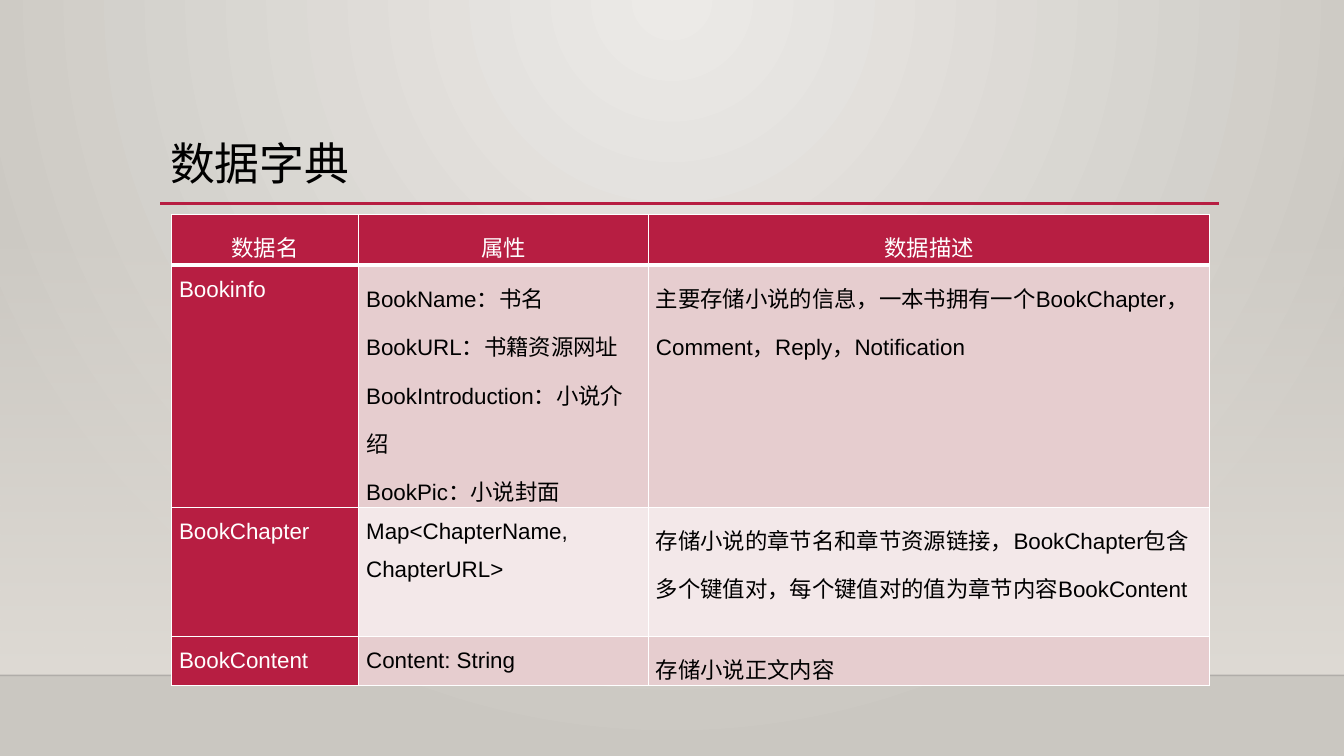
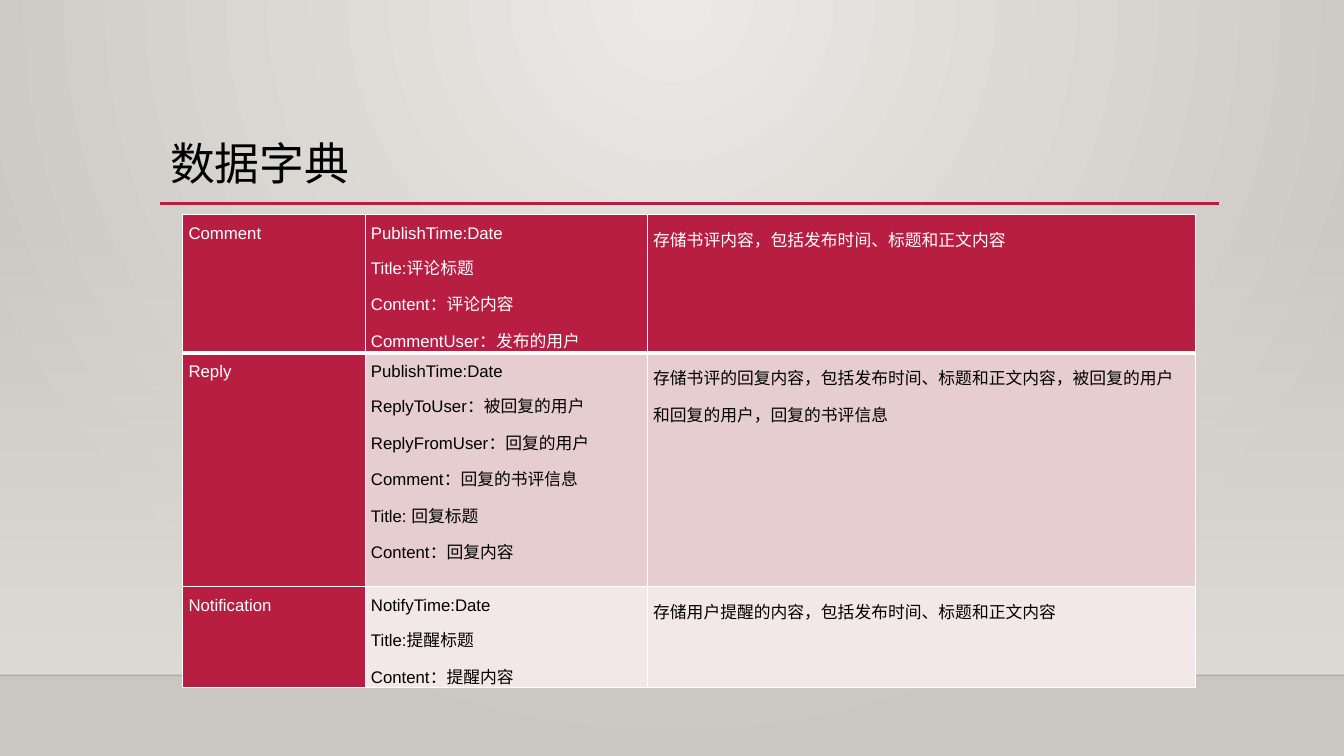
from dataclasses import dataclass

from lxml import etree
from pptx import Presentation
from pptx import util as u
from pptx.dml.color import RGBColor
from pptx.enum import shapes, text
from pptx.oxml import ns

Pt = u.Pt
RED = RGBColor(0xB7, 0x1E, 0x42)
ROSE = RGBColor(0xE6, 0xCD, 0xCF)
BLUSH = RGBColor(0xF3, 0xE8, 0xE9)
WHITE = RGBColor(0xFF, 0xFF, 0xFF)
BLACK = RGBColor(0, 0, 0)
INK = RGBColor(0, 0, 1)
PALE = RGBColor(0xEC, 0xEA, 0xE7)
STONE = RGBColor(0xCA, 0xC7, 0xC1)
SAND = RGBColor(0xDF, 0xDB, 0xD5)
WIDE, HIGH = 960, 540
FLOOR = 482.4


@dataclass
class Rule:
    left: float
    right: float
    top: float
    color: RGBColor
    width: float
    alpha: int = 100


@dataclass
class Grid:
    left: float
    top: float
    cols: list[float]
    rows: list[float]
    inset: float
    size: int
    cells: list[list[str]]
    center: bool = False


RULES = [
    Rule(0, WIDE, FLOOR, INK, 1, 20),
    Rule(114.3, 870.9, 145.3, RED, 2.5),
]

GRIDS = [
    Grid(122.5, 153.5, [133.7, 207, 400.9], [36, 172.8, 92.2, 35.3], 5.4, 16, [
        ["数据名", "属性", "数据描述"],
        ["Bookinfo",
         "BookName：书名\nBookURL：书籍资源网址\n"
         "BookIntroduction：小说介绍\nBookPic：小说封面",
         "主要存储小说的信息，一本书拥有一个BookChapter，Comment，Reply，Notification"],
        ["BookChapter", "Map<ChapterName, ChapterURL>",
         "存储小说的章节名和章节资源链接，BookChapter包含多个键值对，"
         "每个键值对的值为章节内容BookContent"],
        ["BookContent", "Content: String", "存储小说正文内容"],
    ], True),
    Grid(130.6, 153.2, [130.3, 201.6, 391.6], [98.8, 167, 72], 4.1, 12, [
        ["Comment",
         "PublishTime:Date\nTitle:评论标题\nContent：评论内容\nCommentUser：发布的用户",
         "存储书评内容，包括发布时间、标题和正文内容"],
        ["Reply",
         "PublishTime:Date\nReplyToUser：被回复的用户\nReplyFromUser：回复的用户\n"
         "Comment：回复的书评信息\nTitle: 回复标题\nContent：回复内容",
         "存储书评的回复内容，包括发布时间、标题和正文内容，"
         "被回复的用户和回复的用户，回复的书评信息"],
        ["Notification", "NotifyTime:Date\nTitle:提醒标题\nContent：提醒内容",
         "存储用户提醒的内容，包括发布时间、标题和正文内容"],
    ]),
]


def add(node, tag: str, **attrs):
    return etree.SubElement(node, ns.qn(tag), **attrs)


def fade(node, alpha: int) -> None:
    add(next(node.iter(ns.qn("a:srgbClr"))), "a:alpha", val=str(alpha * 1000))


def blend(fill, first: RGBColor, last: RGBColor) -> None:
    fill.gradient()
    for stop, color, place in zip(fill.gradient_stops, (first, last), (0, 1)):
        stop.color.rgb = color
        stop.position = place


def paint(master) -> None:
    blend(master.background.fill, PALE, STONE)
    grad = next(master.element.iter(ns.qn("a:gradFill")))
    grad.remove(grad.find(ns.qn("a:lin")))
    ring = add(grad, "a:path", path="circle")
    add(ring, "a:fillToRect", l="43000", t="0", r="43000", b="100000")


def draw_wall(slide) -> None:
    wall = slide.shapes.add_shape(
        shapes.MSO_SHAPE.RECTANGLE, 0, Pt(159.1), Pt(WIDE), Pt(FLOOR - 159.1))
    wall.shadow.inherit = False
    wall.line.fill.background()
    blend(wall.fill, SAND, SAND)
    wall.fill.gradient_angle = 270
    fade(wall.element.spPr, 0)


def draw_rule(slide, rule: Rule) -> None:
    line = slide.shapes.add_connector(
        shapes.MSO_CONNECTOR.STRAIGHT,
        Pt(rule.left), Pt(rule.top), Pt(rule.right), Pt(rule.top))
    line.line.color.rgb = rule.color
    line.line.width = Pt(rule.width)
    if rule.alpha < 100:
        fade(line.element.spPr, rule.alpha)
    add(line.element.spPr, "a:effectLst")


def draw_title(slide, words: str) -> None:
    box = slide.shapes.add_textbox(Pt(114.5), Pt(63.4), Pt(756), Pt(76))
    frame = box.text_frame
    frame.word_wrap = True
    frame.vertical_anchor = text.MSO_ANCHOR.BOTTOM
    frame.text = words
    para = frame.paragraphs[0]
    para.line_spacing = 0.9
    style(para, "Cabin", 32, BLACK)


def style(para, name: str, size: int, color: RGBColor) -> None:
    for run in para.runs:
        run.font.name = name
        run.font.size = Pt(size)
        run.font.color.rgb = color


def edge(cell, row: int) -> None:
    widths = {"L": 1, "R": 1, "T": 3 if row == 1 else 1, "B": 3 if row == 0 else 1}
    props = cell._tc.get_or_add_tcPr()
    for side, width in widths.items():
        line = add(props, f"a:ln{side}", w=str(Pt(width)))
        add(add(line, "a:solidFill"), "a:srgbClr", val=str(WHITE))


def draw_grid(slide, grid: Grid) -> None:
    table = slide.shapes.add_table(
        len(grid.rows), len(grid.cols), Pt(grid.left), Pt(grid.top),
        Pt(sum(grid.cols)), Pt(sum(grid.rows))).table
    table.first_row = table.horz_banding = False
    for col, width in zip(table.columns, grid.cols):
        col.width = Pt(width)
    for row, height in zip(table.rows, grid.rows):
        row.height = Pt(height)
    for r, words in enumerate(grid.cells):
        for c, word in enumerate(words):
            cell = table.cell(r, c)
            head = r == 0 or c == 0
            edge(cell, r)
            cell.fill.solid()
            cell.fill.fore_color.rgb = RED if head else ROSE if r % 2 else BLUSH
            cell.margin_left = cell.margin_right = Pt(grid.inset)
            cell.margin_top = cell.margin_bottom = 0
            cell.text_frame.text = word
            for para in cell.text_frame.paragraphs:
                para.line_spacing = 1.5
                if grid.center and r == 0:
                    para.alignment = text.PP_ALIGN.CENTER
                style(para, "Arial", grid.size, WHITE if head else BLACK)


def main() -> None:
    deck = Presentation()
    deck.slide_width, deck.slide_height = Pt(WIDE), Pt(HIGH)
    paint(deck.slide_master)
    for grid in GRIDS:
        slide = deck.slides.add_slide(deck.slide_layouts[6])
        draw_wall(slide)
        for rule in RULES:
            draw_rule(slide, rule)
        draw_title(slide, "数据字典")
        draw_grid(slide, grid)
    deck.save("out.pptx")


if __name__ == "__main__":
    main()
